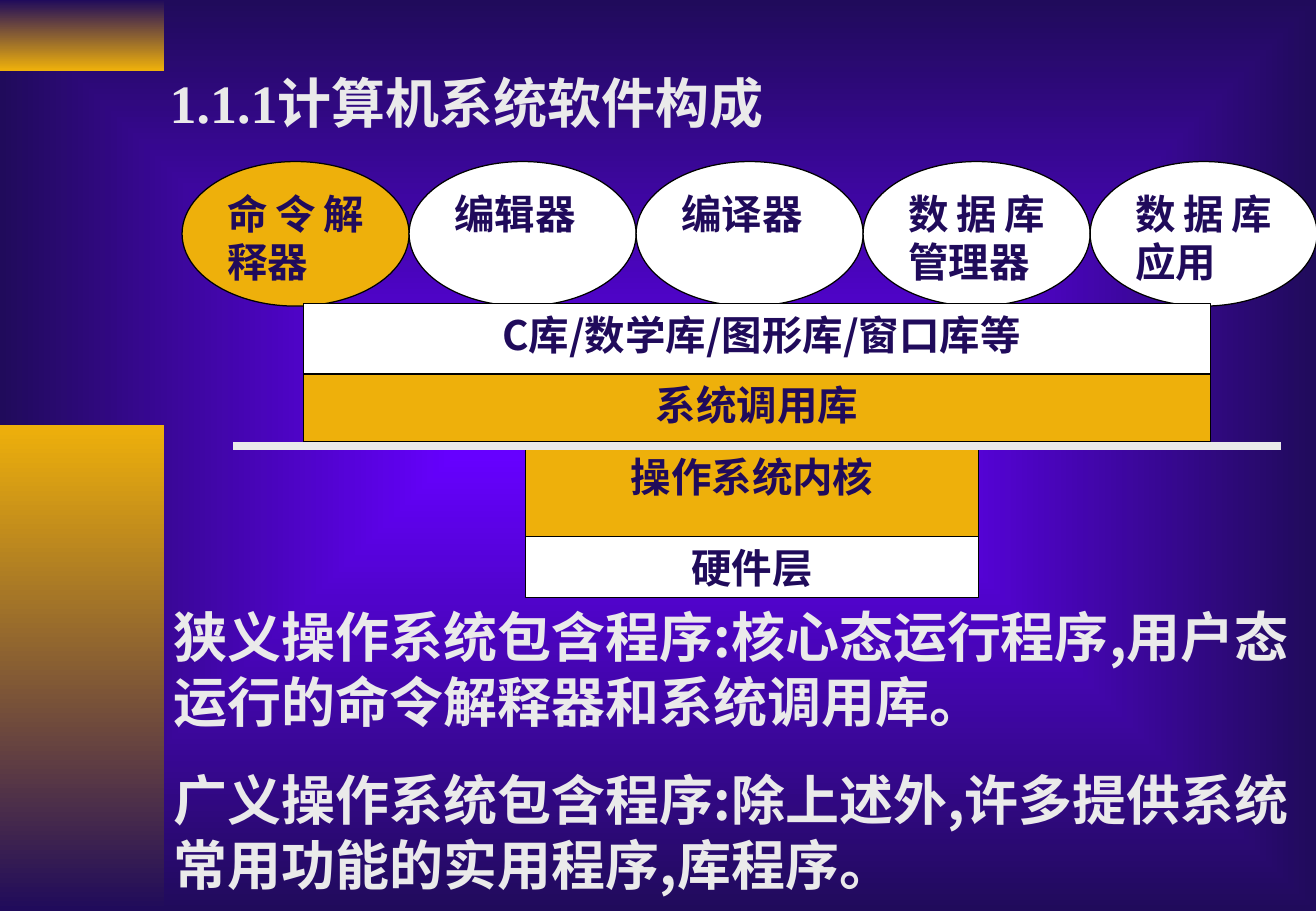
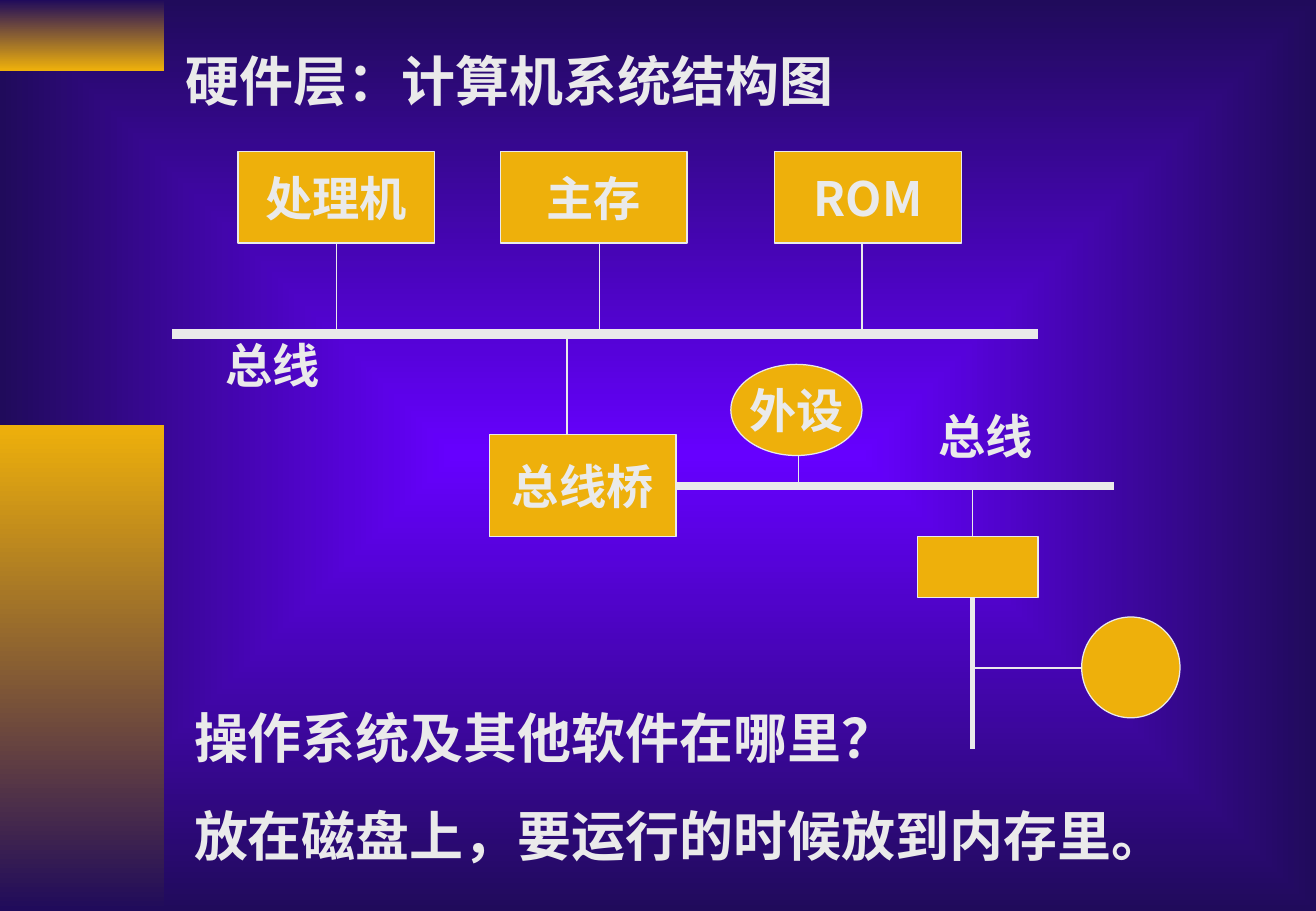
from lxml import etree
from pptx import Presentation
from pptx.dml.color import RGBColor
from pptx.enum.shapes import MSO_CONNECTOR, MSO_SHAPE
from pptx.enum.text import MSO_ANCHOR as Anchor, PP_ALIGN as Align
from pptx.oxml.ns import qn
from pptx.util import Inches, Pt

COLORS = {
    "navy": "200B5B",
    "violet": "6600FF",
    "gold": "EEB00B",
    "pale": "EAEAEA",
    "white": "FFFFFF",
    "black": "000000",
}
SANS = "Noto Sans CJK SC"
SERIF = "Times New Roman"
RECT, OVAL = MSO_SHAPE.RECTANGLE, MSO_SHAPE.OVAL
BOTTOM, RIGHT = 2, 3


def color(name):
    return RGBColor.from_string(COLORS[name])


def set_gradient(fill, first, last):
    fill.gradient()
    for stop, name in zip(fill.gradient_stops, (first, last)):
        stop.color.rgb = color(name)


def set_background(master):
    """Give every slide a gradient that darkens from the centre outwards."""
    set_gradient(master.background.fill, "violet", "navy")
    gradient = next(master.element.iter(qn("a:gradFill")))
    gradient.remove(gradient.find(qn("a:lin")))
    path = etree.SubElement(gradient, qn("a:path"), {"path": "rect"})
    sides = dict.fromkeys("ltrb", "50000")
    etree.SubElement(path, qn("a:fillToRect"), sides)


def add_box(page, kind, left, top, width, height):
    box = page.shapes.add_shape(
        kind, Inches(left), Inches(top), Inches(width), Inches(height))
    box.shadow.inherit = False
    return box


def add_band(page, top, height, first, last):
    band = add_box(page, RECT, 0, top, 1.35, height)
    set_gradient(band.fill, first, last)
    band.fill.gradient_angle = 270
    band.line.fill.background()


def add_page(deck):
    page = deck.slides.add_slide(deck.slide_layouts[6])
    add_band(page, 0, 0.58, "navy", "gold")
    add_band(page, 3.5, 4, "gold", "navy")
    return page


def write(frame, text, size, ink, align=Align.LEFT, font=SANS, gap=0):
    frame.text = text
    for para in frame.paragraphs:
        para.alignment = align
        para.space_before = Pt(gap)
        for span in para.runs:
            span.font.size = Pt(size)
            span.font.bold = True
            span.font.name = font
            span.font.color.rgb = color(ink)
            east_asian = etree.Element(qn("a:ea"), {"typeface": SANS})
            span.font._element.find(qn("a:latin")).addnext(east_asian)


def paint(box, fill, line):
    box.fill.solid()
    box.fill.fore_color.rgb = color(fill)
    box.line.color.rgb = color(line)
    box.line.width = Pt(0.75)


def add_layer(page, kind, text, fill, place, align=Align.CENTER):
    """Part of the software stack, with its text at the top."""
    box = add_box(page, kind, *place)
    paint(box, fill, "black")
    box.text_frame.vertical_anchor = Anchor.TOP
    box.text_frame.word_wrap = True
    write(box.text_frame, text, 24, "navy", align)


def add_device(page, kind, text, *place):
    """Hardware unit, with its text, if any, in the middle."""
    box = add_box(page, kind, *place)
    paint(box, "gold", "pale")
    if text:
        box.text_frame.vertical_anchor = Anchor.MIDDLE
        box.text_frame.word_wrap = False
        write(box.text_frame, text, 28, "pale", Align.CENTER)
    return box


def add_line(page, x1, y1, x2, y2, weight=0.75):
    line = page.shapes.add_connector(
        MSO_CONNECTOR.STRAIGHT, Inches(x1), Inches(y1), Inches(x2), Inches(y2))
    line.line.color.rgb = color("pale")
    line.line.width = Pt(weight)
    etree.SubElement(line.element.spPr, qn("a:effectLst"))
    return line


def add_text(page, text, left, top, width, height, size=32, font=SANS, gap=0):
    box = page.shapes.add_textbox(
        Inches(left), Inches(top), Inches(width), Inches(height))
    box.text_frame.word_wrap = True
    write(box.text_frame, text, size, "pale", font=font, gap=gap)


def add_software_page(deck):
    page = add_page(deck)
    programs = ["命令解释器", "编辑器", "编译器", "数据库管理器", "数据库应用"]
    width = 1.87
    for index, name in enumerate(programs):
        fill = "white" if index else "gold"
        place = (1.5 + index * width, 1.33, width, 1.19)
        add_layer(page, OVAL, name, fill, place, Align.JUSTIFY)

    for name, fill, place in [
        ("操作系统内核", "gold", (4.33, 3.67, 3.73, 0.8)),
        ("硬件层", "white", (4.33, 4.42, 3.73, 0.5)),
        (" C库/数学库/图形库/窗口库等", "white", (2.5, 2.5, 7.47, 0.64)),
        ("系统调用库", "gold", (2.5, 3.08, 7.47, 0.56)),
    ]:
        add_layer(page, RECT, name, fill, place)
    add_line(page, 1.92, 3.67, 10.55, 3.67, 4.5)

    add_text(page, "1.1.1计算机系统软件构成", 1.3, 0.52, 5.5, 0.64, font=SERIF)
    add_text(page,
             "狭义操作系统包含程序:核心态运行程序,用户态运行的命令解释器和系统调用库。\n"
             "广义操作系统包含程序:除上述外,许多提供系统常用功能的实用程序,库程序。",
             1.33, 4.92, 9.5, 3.05, gap=20)


def add_hardware_page(deck):
    page = add_page(deck)
    processor = add_device(page, RECT, "处理机", 1.96, 1.25, 1.62, 0.75)
    add_device(page, RECT, "主存", 4.12, 1.25, 1.54, 0.75)
    add_device(page, RECT, "ROM", 6.38, 1.25, 1.54, 0.75)
    bridge = add_device(page, RECT, "总线桥", 4.03, 3.58, 1.54, 0.84)
    add_device(page, OVAL, "外设", 6.02, 3, 1.08, 0.75)
    add_device(page, RECT, "", 7.56, 4.42, 0.99, 0.5)
    add_device(page, OVAL, "", 8.91, 5.08, 0.81, 0.83)

    add_line(page, 1.42, 2.75, 8.55, 2.75, 6)
    add_line(page, 2.77, 2, 2.77, 2.75).begin_connect(processor, BOTTOM)
    add_line(page, 5.57, 4, 9.18, 4, 4.5).begin_connect(bridge, RIGHT)
    add_line(page, 8.01, 4.92, 8.01, 6.17, 3)
    for ends in [
        (4.94, 2, 4.94, 2.75),
        (7.1, 2, 7.1, 2.75),
        (4.67, 2.75, 4.67, 3.58),
        (6.58, 3.75, 6.58, 4),
        (8.01, 4, 8.01, 4.42),
        (8.01, 5.5, 8.91, 5.5),
    ]:
        add_line(page, *ends)

    for left, top in [(1.76, 2.72), (7.63, 3.3)]:
        add_text(page, "总线", left, top, 1.1, 0.57, size=28)
    add_text(page, "硬件层：计算机系统结构图", 1.43, 0.34, 5.8, 0.64, font=SERIF)
    add_text(page, "操作系统及其他软件在哪里？\n放在磁盘上，要运行的时候放到内存里。",
             1.5, 5.75, 9.33, 1.45, font=SERIF, gap=20)


def main():
    deck = Presentation()
    deck.slide_width, deck.slide_height = Inches(10.84), Inches(7.5)
    set_background(deck.slide_master)
    add_software_page(deck)
    add_hardware_page(deck)
    deck.save("out.pptx")


if __name__ == "__main__":
    main()
